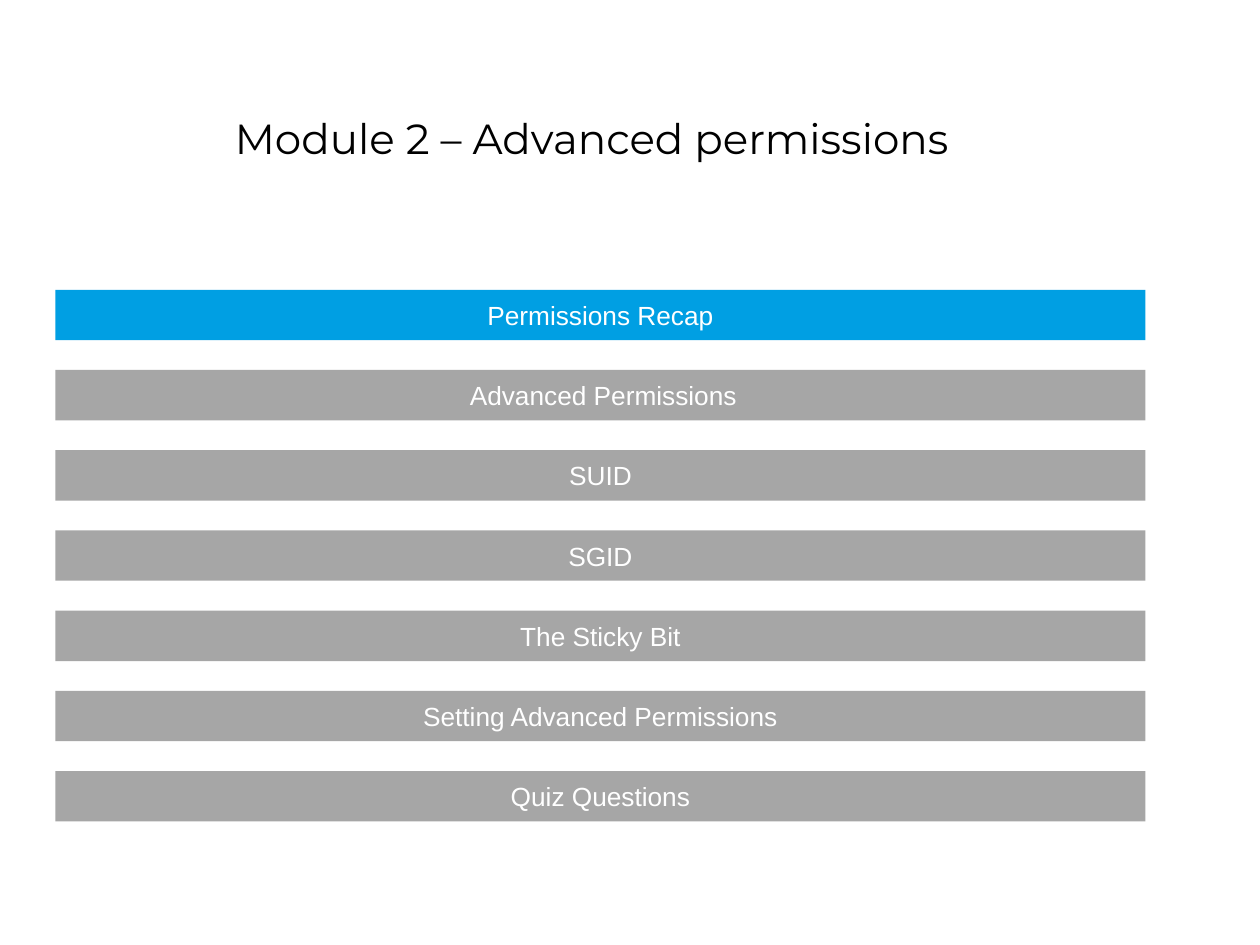
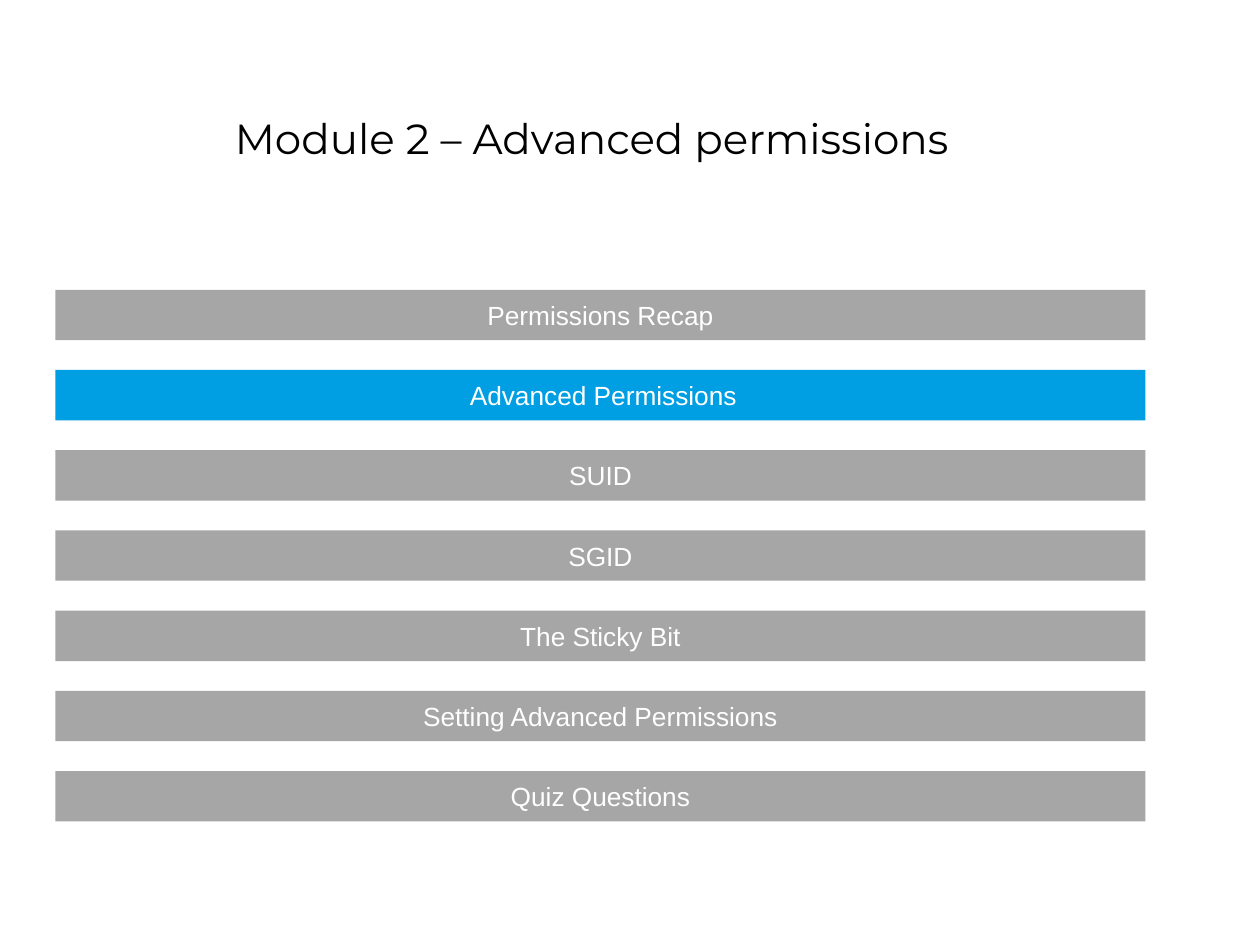
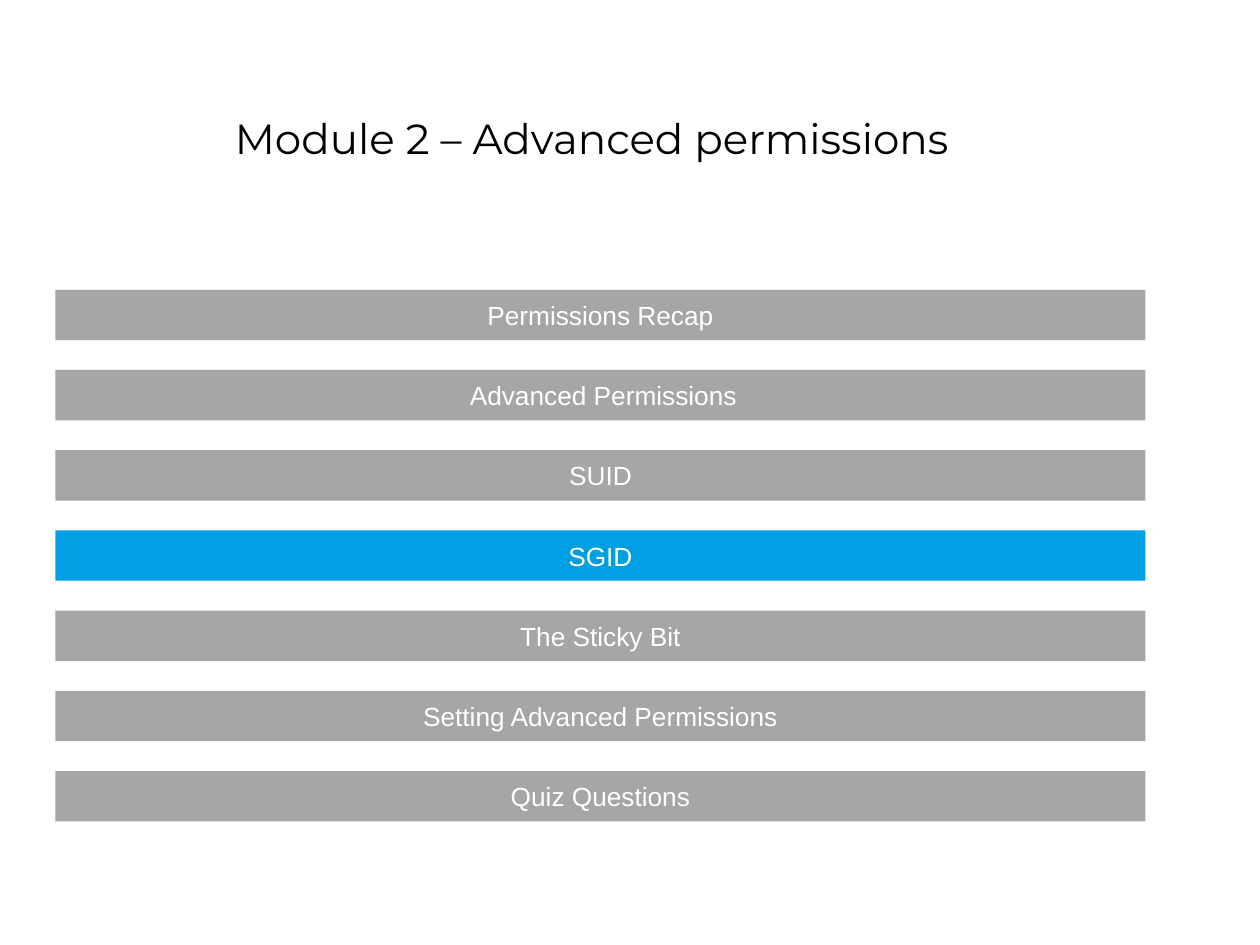
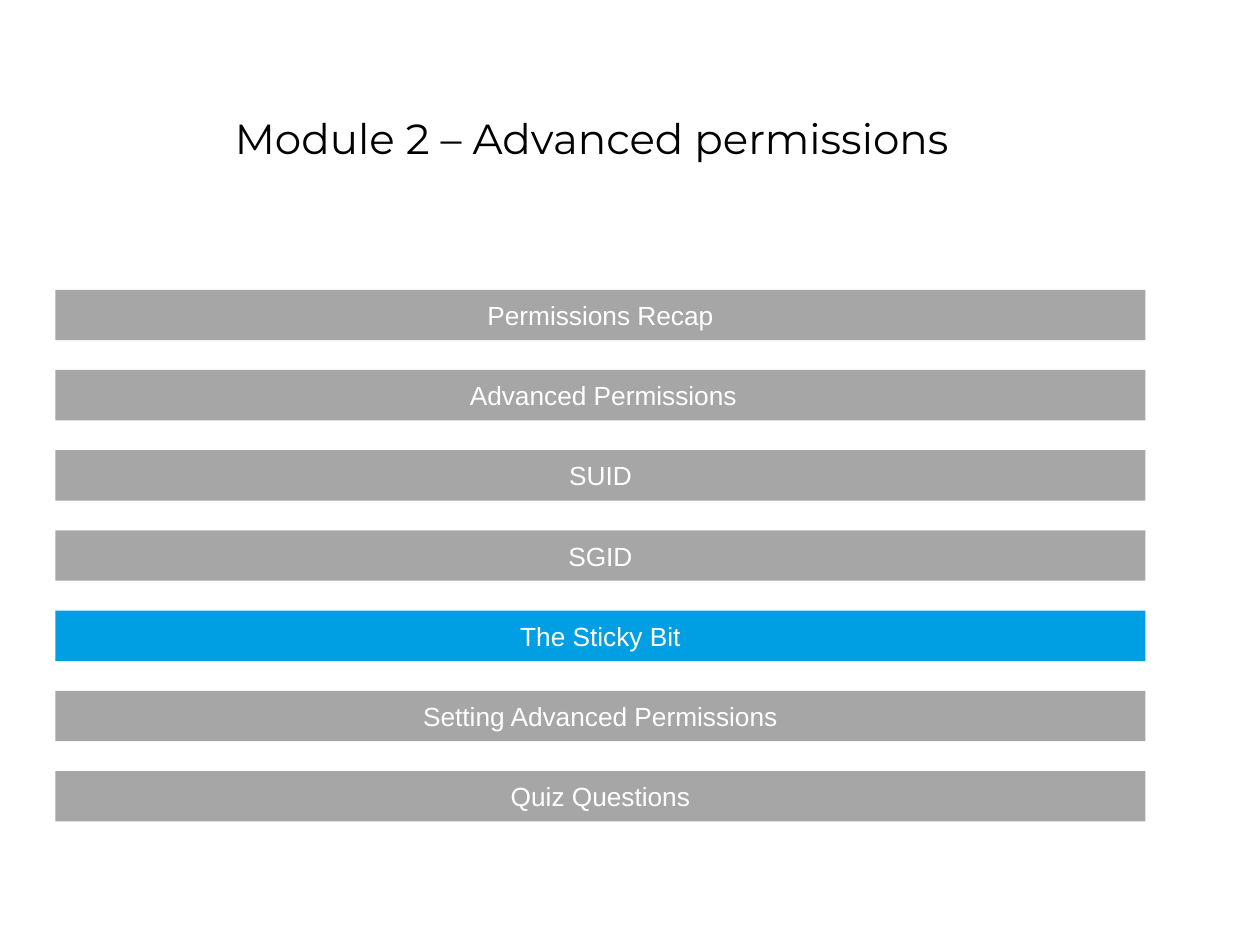
import pptx
import pptx.util
import pptx.dml.color
import pptx.enum.shapes
import pptx.enum.text

Inches = pptx.util.Inches
COLORS = {"active": "009FE3", "idle": "A6A6A6", "label": "FFFFFF", "title": "000000"}
TITLE = "Module 2 – Advanced permissions"
TOPICS = [
    "Permissions Recap",
    " Advanced Permissions",
    "SUID",
    "SGID",
    "The Sticky Bit",
    "Setting Advanced Permissions",
    "Quiz Questions",
]
ACTIVE = [0, 1, 3, 4]  # topic highlighted on each slide

LEFT, WIDTH, HEIGHT = 0.44, 8.65, 0.4
FIRST, LAST = 2.3, 6.12  # tops of the first and last bars
PITCH = (LAST - FIRST) / (len(TOPICS) - 1)


def color(name):
    return pptx.dml.color.RGBColor.from_string(COLORS[name])


def write(frame, text, size, font, tint):
    """Put one centred run in a text frame."""
    frame.word_wrap = True
    frame.vertical_anchor = pptx.enum.text.MSO_ANCHOR.MIDDLE
    para = frame.paragraphs[0]
    para.alignment = pptx.enum.text.PP_ALIGN.CENTER
    run = para.add_run()
    run.text = text
    run.font.size = pptx.util.Pt(size)
    run.font.name = font
    run.font.color.rgb = color(tint)


def add_title(slide):
    title = slide.shapes.title
    title.left, title.top = Inches(0.17), Inches(0.85)
    title.width, title.height = Inches(9.05), Inches(0.48)
    frame = title.text_frame
    frame.margin_left = frame.margin_right = Inches(0.07)
    frame.margin_top = frame.margin_bottom = Inches(0.04)
    write(frame, TITLE, 24, "Montserrat", "title")
    frame.auto_size = pptx.enum.text.MSO_AUTO_SIZE.SHAPE_TO_FIT_TEXT


def add_bar(slide, row, topic, fill):
    bar = slide.shapes.add_shape(
        pptx.enum.shapes.MSO_SHAPE.RECTANGLE,
        Inches(LEFT), Inches(FIRST + row * PITCH), Inches(WIDTH), Inches(HEIGHT))
    bar.shadow.inherit = False
    bar.fill.solid()
    bar.fill.fore_color.rgb = color(fill)
    bar.line.fill.background()
    write(bar.text_frame, topic, 15, "Arial", "label")


def add_agenda(deck, active):
    slide = deck.slides.add_slide(deck.slide_layouts.get_by_name("Title Only"))
    add_title(slide)
    for row, topic in enumerate(TOPICS):
        add_bar(slide, row, topic, "active" if row == active else "idle")


def main():
    deck = pptx.Presentation()
    deck.slide_width, deck.slide_height = Inches(10), Inches(7.5)
    for active in ACTIVE:
        add_agenda(deck, active)
    deck.save("out.pptx")


if __name__ == "__main__":
    main()
